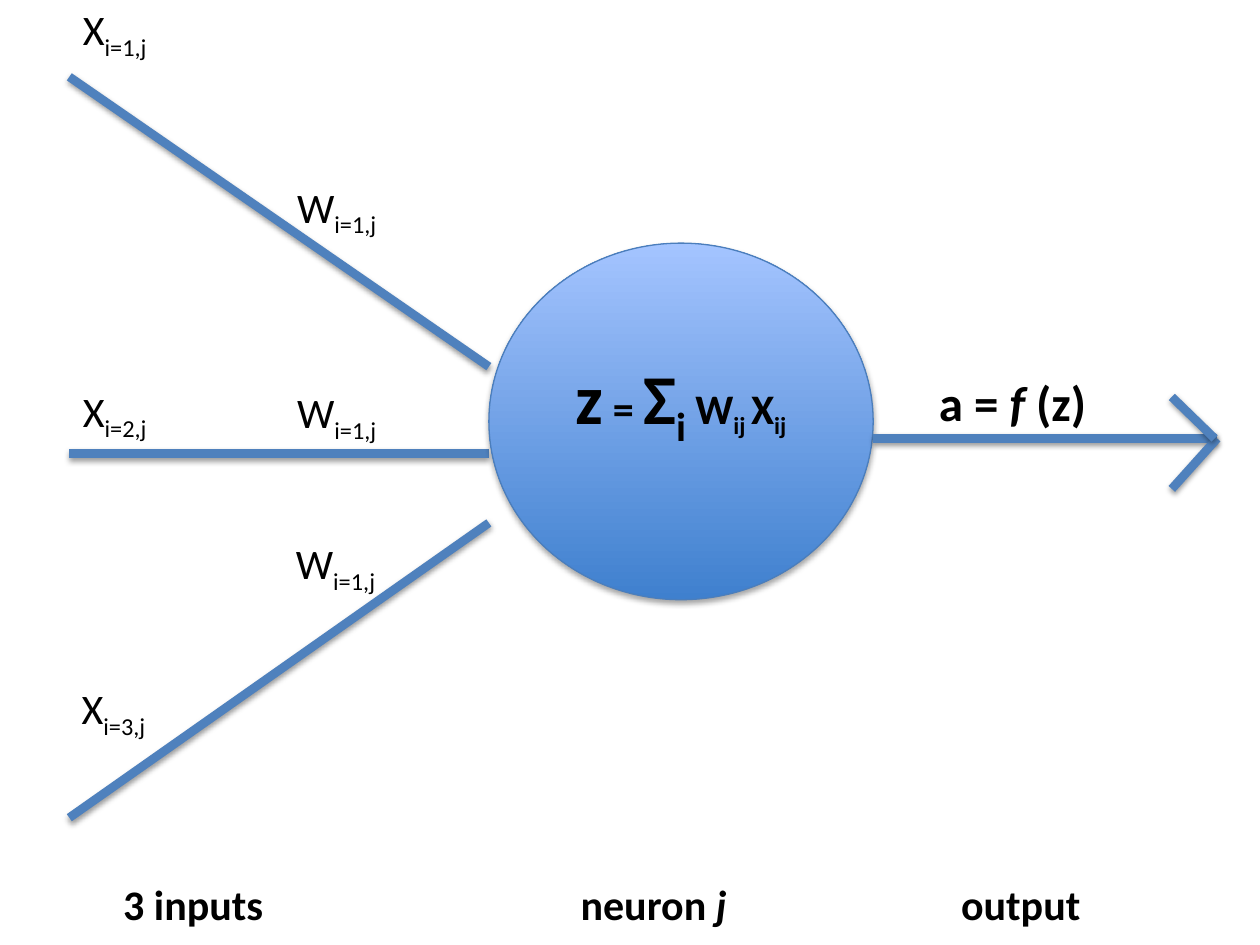
import pptx
import pptx.util
import pptx.dml.color
import pptx.enum.shapes
import pptx.enum.text
import pptx.oxml
import pptx.oxml.ns

COLS, ROWS = 100, 75
BLUE = "4F81BD"
ALIGN = pptx.enum.text.PP_ALIGN


def rgb(value):
    """Turn a hex string into a colour."""
    return pptx.dml.color.RGBColor.from_string(value)


class Diagram:
    """Style and current slide; positions are grid columns and rows."""

    font, ink = "Calibri", "000000"

    def __init__(self, prs):
        """Add a blank slide and work out the grid cell."""
        self.s = prs.slides.add_slide(prs.slide_layouts[6])
        self.cw, self.rh = prs.slide_width / COLS, prs.slide_height / ROWS

    def grid(self, x, y, x2, y2):
        """Convert two column and row pairs to slide lengths."""
        return [round(v * u) for v, u in zip((x, y, x2, y2), (self.cw, self.rh) * 2)]

    def shadow(self, sp, alpha, dist):
        """Give a shape a soft shadow that falls straight down."""
        Pt = pptx.util.Pt
        sp.element.spPr.append(pptx.oxml.parse_xml(
            f'<a:effectLst {pptx.oxml.ns.nsdecls("a")}>'
            f'<a:outerShdw blurRad="{Pt(3.1)}" dist="{Pt(dist)}" dir="5400000" rotWithShape="0">'
            f'<a:srgbClr val="000000"><a:alpha val="{alpha * 1000}"/></a:srgbClr>'
            '</a:outerShdw></a:effectLst>'))

    def line(self, *ends):
        """Draw a thick shadowed line from x, y to x2, y2."""
        cx = self.s.shapes.add_connector(
            pptx.enum.shapes.MSO_CONNECTOR.STRAIGHT, *self.grid(*ends))
        cx.line.color.rgb = rgb(BLUE)
        cx.line.width = pptx.util.Pt(5)
        self.shadow(cx, 38, 1.6)

    def fill_text(self, tf, runs, align):
        """Fill a frame with (text, size, marks); marks: b bold, i italic, s subscript."""
        tf.word_wrap = True
        p = tf.paragraphs[0]
        p.alignment = align
        for text, size, marks in runs:
            r = p.add_run()
            r.text = text
            r.font.name, r.font.size = self.font, pptx.util.Pt(size)
            r.font.color.rgb = rgb(self.ink)
            r.font.bold, r.font.italic = "b" in marks, "i" in marks
            if "s" in marks:
                r._r.get_or_add_rPr().set("baseline", "-25000")

    def text(self, x, y, w, h, runs, align=ALIGN.LEFT):
        """Place a text box."""
        tb = self.s.shapes.add_textbox(*self.grid(x, y, w, h))
        self.fill_text(tb.text_frame, runs, align)

    def neuron(self, x, y, w, h, runs):
        """Draw the gradient ellipse with its formula above the middle."""
        sp = self.s.shapes.add_shape(
            pptx.enum.shapes.MSO_SHAPE.OVAL, *self.grid(x, y, w, h))
        sp.fill.gradient()
        sp.fill.gradient_angle = 90
        for stop, value in zip(sp.fill.gradient_stops, ("3F80CE", "A4C4FF")):
            stop.color.rgb = rgb(value)
        sp.line.color.rgb = rgb("4B7EBC")
        sp.line.width = pptx.util.Pt(0.75)
        self.shadow(sp, 35, 1.8)
        tf = sp.text_frame
        tf.vertical_anchor = pptx.enum.text.MSO_ANCHOR.MIDDLE
        tf.margin_bottom = round(3.6 * self.rh)
        self.fill_text(tf, runs, ALIGN.CENTER)


prs = pptx.Presentation()
prs.slide_width, prs.slide_height = pptx.util.Inches(10), pptx.util.Inches(7.5)
d = Diagram(prs)

left, right, mid, tip = 5.5, 38.8, 34.8, 96.6
for start, end in ((6.1, 29.1), (36, 36), (64.9, 41.5)):
    d.line(left, start, right, end)

labels = [("X", 1, 5.6, -0.2), ("X", 2, 5.6, 30.1), ("X", 3, 5.5, 53.7),
          ("W", 1, 22.6, 13.9), ("W", 1, 22.5, 42.2), ("W", 1, 22.6, 30.2)]
for name, i, x, y in labels:
    d.text(x, y, 17, 5, [(name, 24, ""), (f"i={i},j", 24, "s")])

d.neuron(right, 19.3, 30.5, 28.3, [
    ("z", 40, "b"), (" = ", 24, "b"), ("Σ", 40, "b"), ("i ", 40, "bs"),
    ("W", 24, "b"), ("ij ", 24, "bs"), ("X", 24, "b"), ("ij", 24, "bs")])

d.line(69.3, mid, tip, mid)
d.line(tip, mid, 93, 38.8)
d.line(93, 31.5, 96.4, mid)
d.text(71.4, 29.1, 17.9, 9,
       [("a = ", 28, "b"), ("f ", 28, "bi"), ("(z)", 28, "b")], ALIGN.CENTER)

captions = [(45.1, [("neuron ", 24, "b"), ("j", 24, "bi")]),
            (75.3, [("output", 24, "b")]), (8.8, [("3 inputs", 24, "b")])]
for x, runs in captions:
    d.text(x, 69.2, 17.7, 5, runs)

prs.save("out.pptx")
